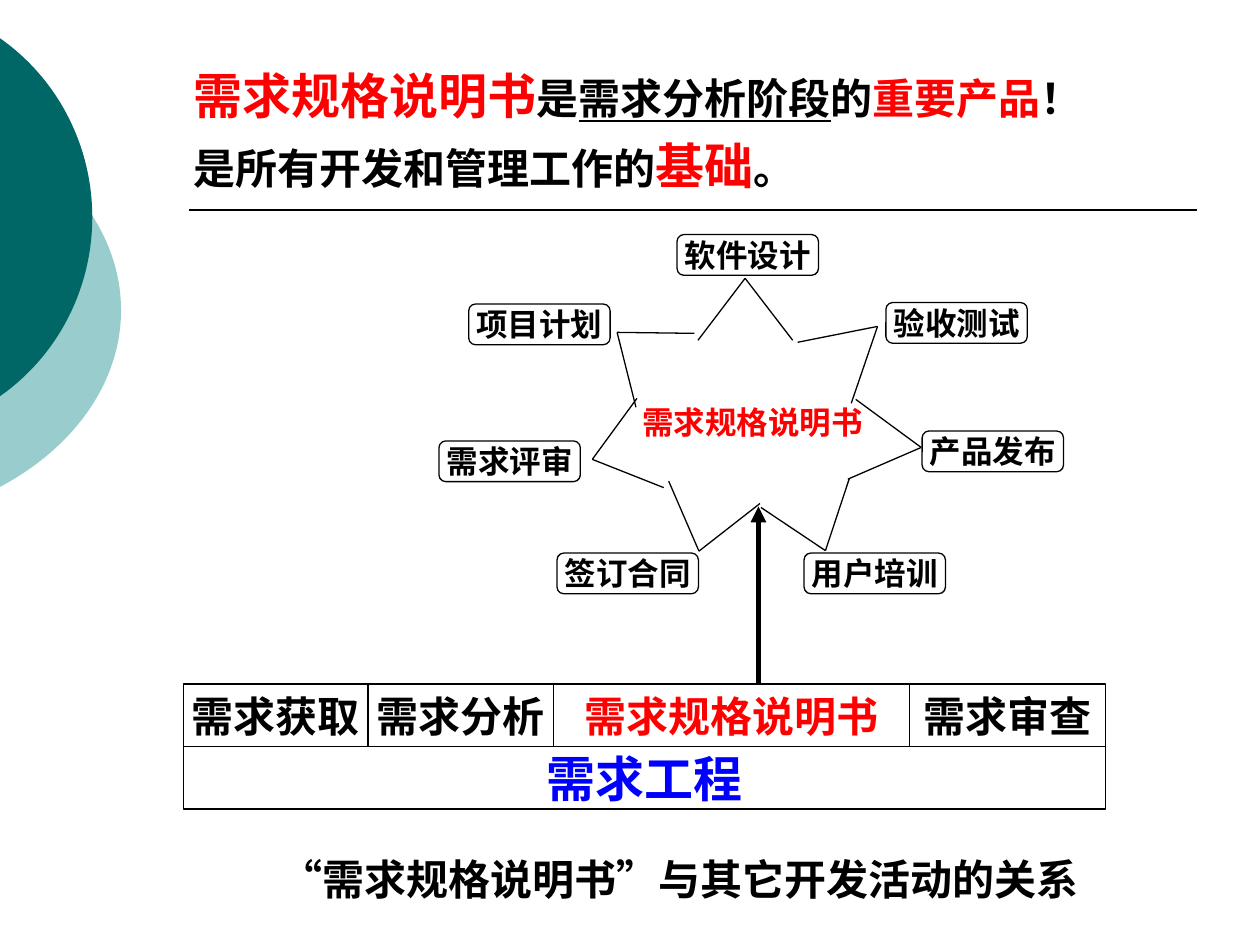
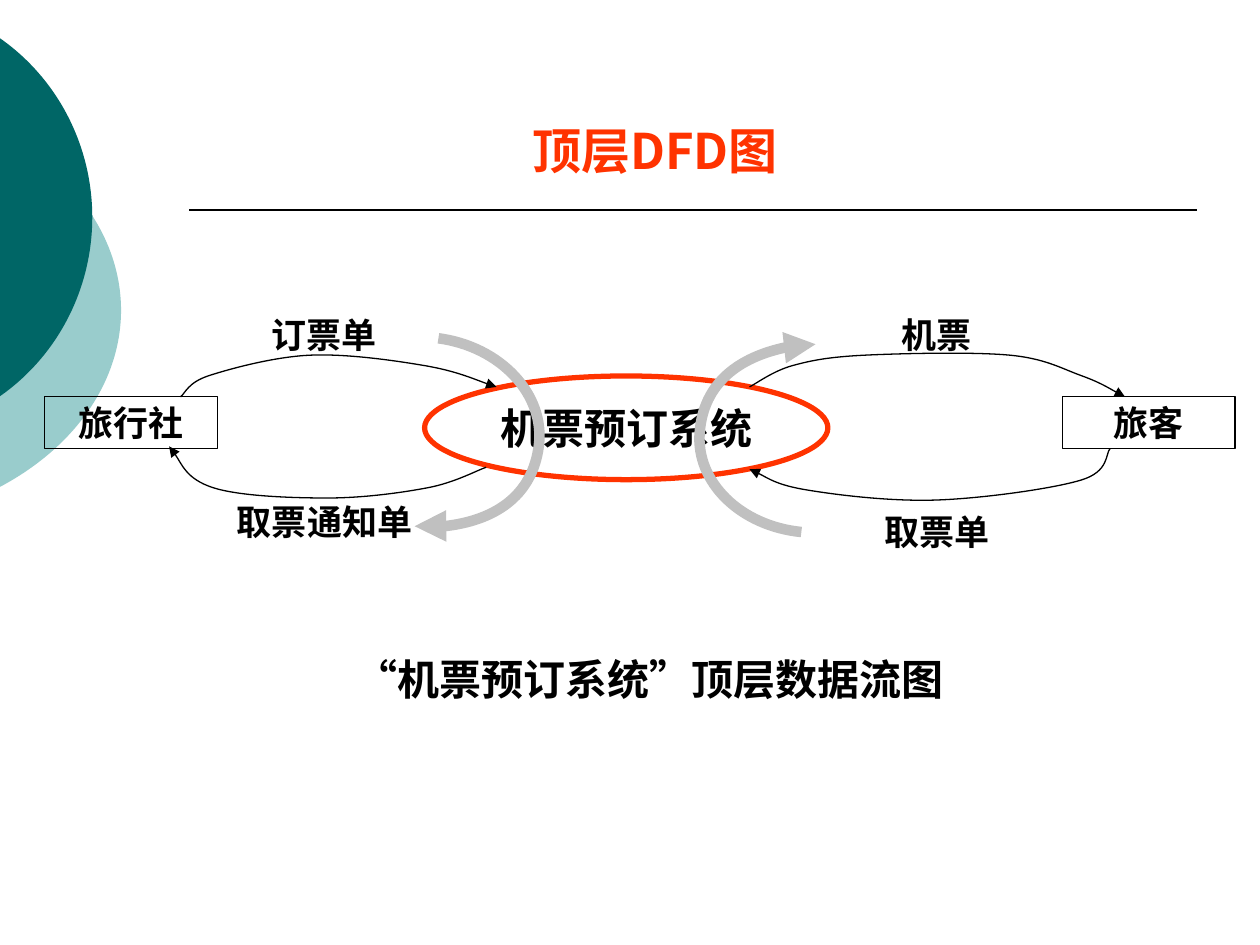
from math import cos, radians, sin, tan

from lxml import etree
from pptx import Presentation
from pptx.dml.color import RGBColor
from pptx.enum.shapes import MSO_CONNECTOR, MSO_SHAPE
from pptx.enum.text import MSO_ANCHOR, MSO_AUTO_SIZE, PP_ALIGN
from pptx.oxml.ns import qn
from pptx.util import Cm, Pt

RECT = MSO_SHAPE.RECTANGLE
ELLIPSE = MSO_SHAPE.OVAL
ROUNDED = MSO_SHAPE.FLOWCHART_ALTERNATE_PROCESS
STRAIGHT = MSO_CONNECTOR.STRAIGHT
CENTER, JUSTIFY = PP_ALIGN.CENTER, PP_ALIGN.JUSTIFY
TOP, MIDDLE = MSO_ANCHOR.TOP, MSO_ANCHOR.MIDDLE
FIXED = MSO_AUTO_SIZE.NONE

BLACK, RED, ORANGE, BLUE = "000000", "FF0000", "FF3300", "0000FF"
TEAL, PALE_TEAL, SILVER = "006666", "99CCCC", "C0C0C0"
CJK, ROBOTO, ARIAL, DEJAVU = "Noto Sans CJK SC", "Roboto", "Arial", "DejaVu Sans"

ACTIVITIES = [
    ("软件设计", 13.65, 4.73, [(14.07, 6.86), (15.02, 5.61), (15.98, 6.86)]),
    ("验收测试", 17.86, 6.1, [(16.08, 6.9), (17.69, 6.58), (17.16, 8.13)]),
    ("产品发布", 18.59, 8.69, [(17.25, 8.05), (18.57, 9.02), (17.09, 9.66)]),
    ("用户培训", 16.21, 11.15, [(17.12, 9.65), (16.64, 11.1), (15.34, 10.23)]),
    ("签订合同", 11.23, 11.15, [(15.32, 10.15), (14.09, 11.11), (13.48, 9.7)]),
    ("需求评审", 8.85, 8.89, [(13.38, 9.83), (11.94, 9.26), (12.84, 8.03)]),
    ("项目计划", 9.45, 6.13, [(12.82, 8.21), (12.44, 6.7), (14, 6.72)]),
]

STAGES = [
    ("需求获取", 3.72, BLACK),
    ("需求分析", 3.74, BLACK),
    ("需求规格说明书", 7.18, RED),
    ("需求审查", 3.95, BLACK),
]

FLOWS = [
    ("订票单", 5.37, 6.33,
     [(3.64, 8), (4.22, 7.57), (6.25, 7.16), (8.56, 7.37), (10.01, 7.8)]),
    ("取票通知单", 5.39, 10.09,
     [(9.8, 9.42), (8.64, 9.83), (6.6, 10.04), (4.29, 9.83), (3.41, 9)]),
    ("机票", 17.73, 6.33,
     [(15.11, 7.8), (15.98, 7.37), (17.45, 7.16), (20.35, 7.16),
      (21.79, 7.57), (22.68, 8)]),
    ("取票单", 17.73, 10.3,
     [(22.38, 9.04), (21.79, 9.68), (18.9, 10.08), (16.28, 9.88), (15.11, 9.46)]),
]


def rgb(color):
    return RGBColor.from_string(color)


def fmt(size, color=BLACK, name=CJK, **extra):
    return {"size": Pt(size), "name": name, "bold": True, **extra}, color


def write(tf, paragraphs, align=CENTER, anchor=MIDDLE, wrap=False, spacing=None):
    frame = dict(margin_left=0, margin_top=0, margin_right=0, margin_bottom=0,
                 word_wrap=wrap, vertical_anchor=anchor, auto_size=FIXED)
    for key, value in frame.items():
        setattr(tf, key, value)
    for i, runs in enumerate(paragraphs):
        p = tf.add_paragraph() if i else tf.paragraphs[0]
        p.alignment = align
        if spacing:
            p.line_spacing = spacing
        for text, (values, color) in runs:
            r = p.add_run()
            r.text = text
            r.font.color.rgb = rgb(color)
            for key, value in values.items():
                setattr(r.font, key, value)
            etree.SubElement(r._r.get_or_add_rPr(), qn("a:ea"), typeface=CJK)


def add_box(s, kind, box, text, style, line=BLACK, width=0.75):
    sp = s.shapes.add_shape(kind, *map(Cm, box))
    sp.shadow.inherit = False
    sp.fill.background()
    sp.line.color.rgb = rgb(line)
    sp.line.width = Pt(width)
    write(sp.text_frame, [[(text, style)]])


def add_disc(s, box, color):
    sp = s.shapes.add_shape(ELLIPSE, *map(Cm, box))
    sp.shadow.inherit = False
    sp.fill.solid()
    sp.fill.fore_color.rgb = rgb(color)
    sp.line.fill.background()


def add_label(s, box, runs):
    sp = s.shapes.add_textbox(*map(Cm, box))
    write(sp.text_frame, [runs])


def add_title(s, box, paragraphs, **layout):
    sp = s.shapes.title
    sp.left, sp.top, sp.width, sp.height = map(Cm, box)
    write(sp.text_frame, paragraphs, **layout)


def set_line(sp, color, width, arrow):
    sp.line.color.rgb = rgb(color)
    sp.line.width = Pt(width)
    if arrow:
        ln = sp.line._get_or_add_ln()
        etree.SubElement(ln, qn("a:tailEnd"), type="triangle")


def add_line(s, start, end, width=0.75, arrow=False):
    sp = s.shapes.add_connector(STRAIGHT, *map(Cm, (*start, *end)))
    set_line(sp, BLACK, width, arrow)
    etree.SubElement(sp._element.spPr, qn("a:effectLst"))


def add_curve(s, points, color=BLACK, width=0.75):
    points = [(Cm(x), Cm(y)) for x, y in points]
    builder = s.shapes.build_freeform(*points[0])
    builder.add_line_segments(points[1:], close=False)
    sp = builder.convert_to_shape()
    sp.shadow.inherit = False
    sp.fill.background()
    set_line(sp, color, width, True)
    segments = list(sp._element.iter(qn("a:lnTo")))
    for i in range(0, len(segments), 3):
        cubic = etree.SubElement(segments[i].getparent(), qn("a:cubicBezTo"))
        for segment in segments[i:i + 3]:
            cubic.append(segment[0])
            segment.getparent().remove(segment)


def arc(cx, cy, rx, ry, start, end, tilt=0, parts=2):
    c, d = cos(radians(tilt)), sin(radians(tilt))
    step = radians(end - start) / parts
    k = 4 / 3 * tan(step / 4)

    def place(a, pull):
        x = rx * (cos(a) - pull * sin(a))
        y = ry * (sin(a) + pull * cos(a))
        return cx + x * c - y * d, cy + x * d + y * c

    points = [place(radians(start), 0)]
    for i in range(parts):
        a = radians(start) + i * step
        points += [place(a, k), place(a + step, -k), place(a + step, 0)]
    return points


def spline(knots):
    padded = [knots[0], *knots, knots[-1]]
    points = [knots[0]]
    for a, b, c, d in zip(padded, padded[1:], padded[2:], padded[3:]):
        points += [(b[0] + (c[0] - a[0]) / 6, b[1] + (c[1] - a[1]) / 6),
                   (c[0] - (d[0] - b[0]) / 6, c[1] - (d[1] - b[1]) / 6), c]
    return points


def add_slide(prs):
    s = prs.slides.add_slide(prs.slide_layouts[5])
    add_disc(s, (-8.99, 1.91, 11.43, 8.69), PALE_TEAL)
    add_disc(s, (-6.73, 0, 8.59, 8.76), TEAL)
    add_line(s, (3.81, 4.24), (24.13, 4.24), 1)
    return s


def build_specification(prs):
    s = add_slide(prs)
    big, plain = fmt(28, RED), fmt(24)
    add_title(s, (3.91, 1.09, 18.21, 2.87), [
        [("需求规格说明书", big), ("是", plain),
         ("需求分析阶段", fmt(24, underline=True)), ("的", plain),
         ("重要产品", fmt(24, RED)), ("！", plain)],
        [("是所有开发和管理工作的", plain), ("基础", big), ("。", plain)],
    ], align=JUSTIFY, anchor=TOP, wrap=True, spacing=Pt(40))

    left, top, height = 3.7, 13.79, 1.26
    x = left
    for text, width, color in STAGES:
        add_box(s, RECT, (x, top, width, height), text, fmt(24, color, ROBOTO))
        x += width
    add_box(s, RECT, (left, top + height, x - left, height), "需求工程",
            fmt(28, BLUE, ROBOTO))

    for text, x, y, (valley, tip, next_valley) in ACTIVITIES:
        add_line(s, valley, tip)
        add_line(s, tip, next_valley)
        add_box(s, ROUNDED, (x, y, 2.85, 0.82), text, fmt(18, name=ROBOTO))
    add_label(s, (13.04, 8.2, 4.27, 0.61),
              [("需求规格说明书", fmt(18, RED, ROBOTO))])
    add_line(s, (15.29, top), (15.29, 10.21), 3, arrow=True)

    body = fmt(24, name=ROBOTO)
    add_label(s, (5.31, 17.31, 16.79, 0.81), [
        ("“", plain), ("需求规格说明书", body), ("”", plain),
        ("与其它开发活动的关系", body)])


def build_data_flow(prs):
    s = add_slide(prs)
    add_title(s, (9.7, 2.32, 7.01, 1.4), [[("顶层DFD图", fmt(28, ORANGE))]])
    for x, text in [(0.9, "旅行社"), (21.42, "旅客")]:
        add_box(s, RECT, (x, 8, 3.48, 1.04), text, fmt(20))
    add_box(s, ELLIPSE, (8.56, 7.58, 8.13, 2.09), "机票预订系统", fmt(24),
            ORANGE, 3)
    for text, x, y, knots in FLOWS:
        add_curve(s, spline(knots))
        add_label(s, (x, y, 2.31, 0.84), [(text, fmt(20))])
    for points in [arc(8.56, 8.71, 2.32, 1.91, -88, 90, 6),
                   arc(16.44, 8.84, 2.34, 1.9, 97, 270)]:
        add_curve(s, points, SILVER, 6)
    quote, body = fmt(24, name=ARIAL), fmt(24, name=DEJAVU)
    add_label(s, (6.9, 13.05, 12.4, 1.27), [
        ("“", quote), ("机票预订系统", body), ("”", quote),
        ("顶层数据流图", body)])


def main():
    prs = Presentation()
    prs.slide_width, prs.slide_height = Cm(25.4), Cm(19.05)
    build_specification(prs)
    build_data_flow(prs)
    prs.save("out.pptx")


if __name__ == "__main__":
    main()
